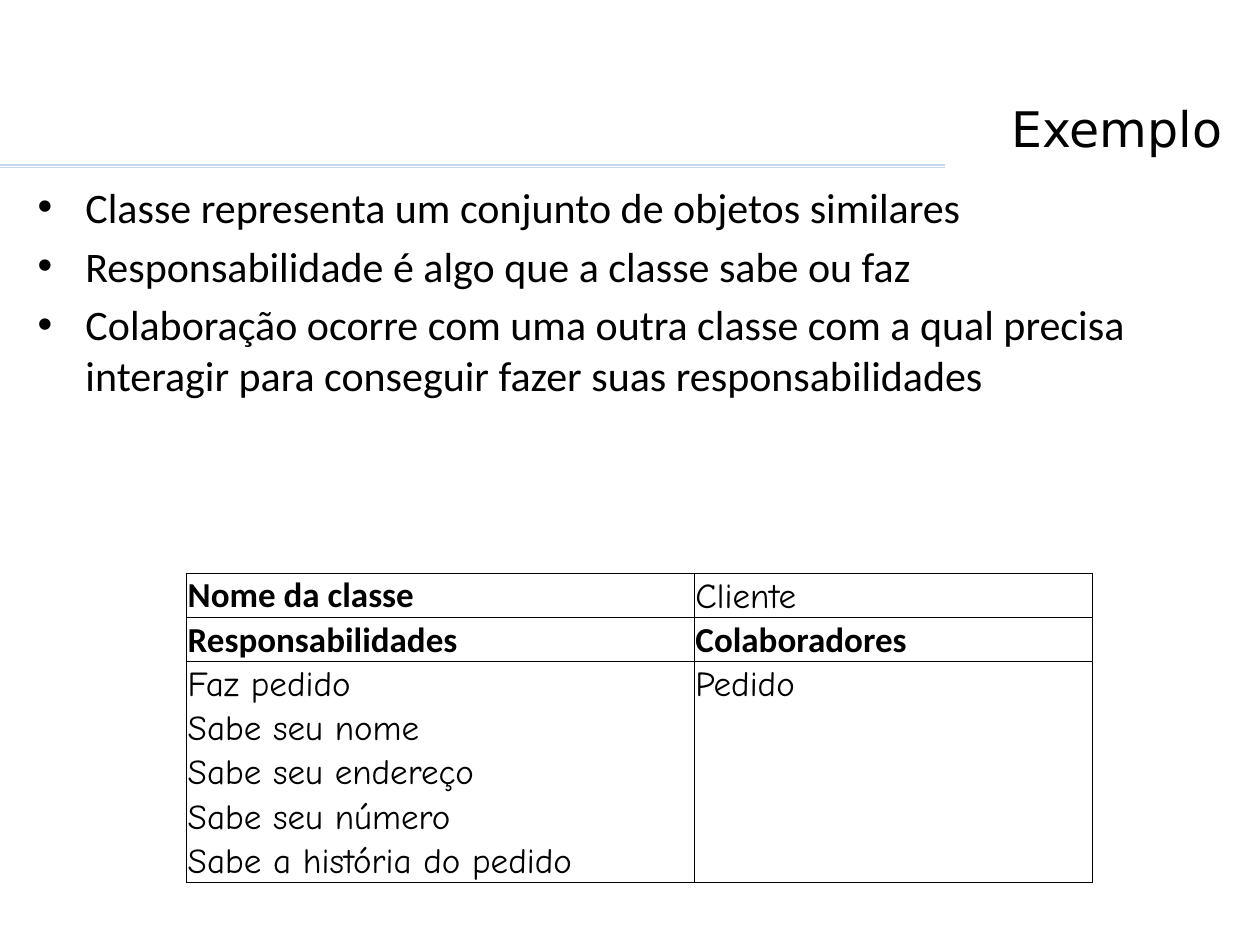
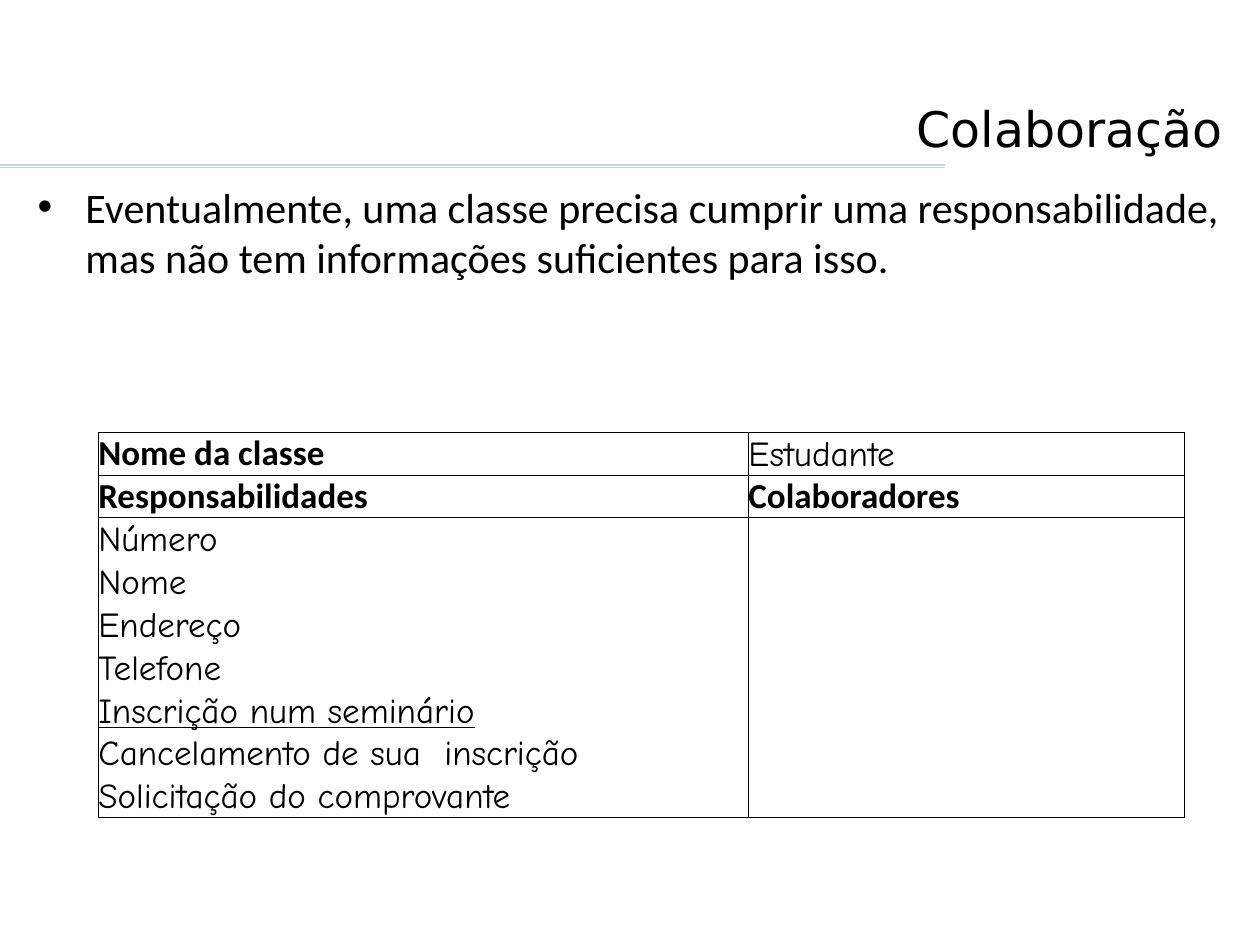
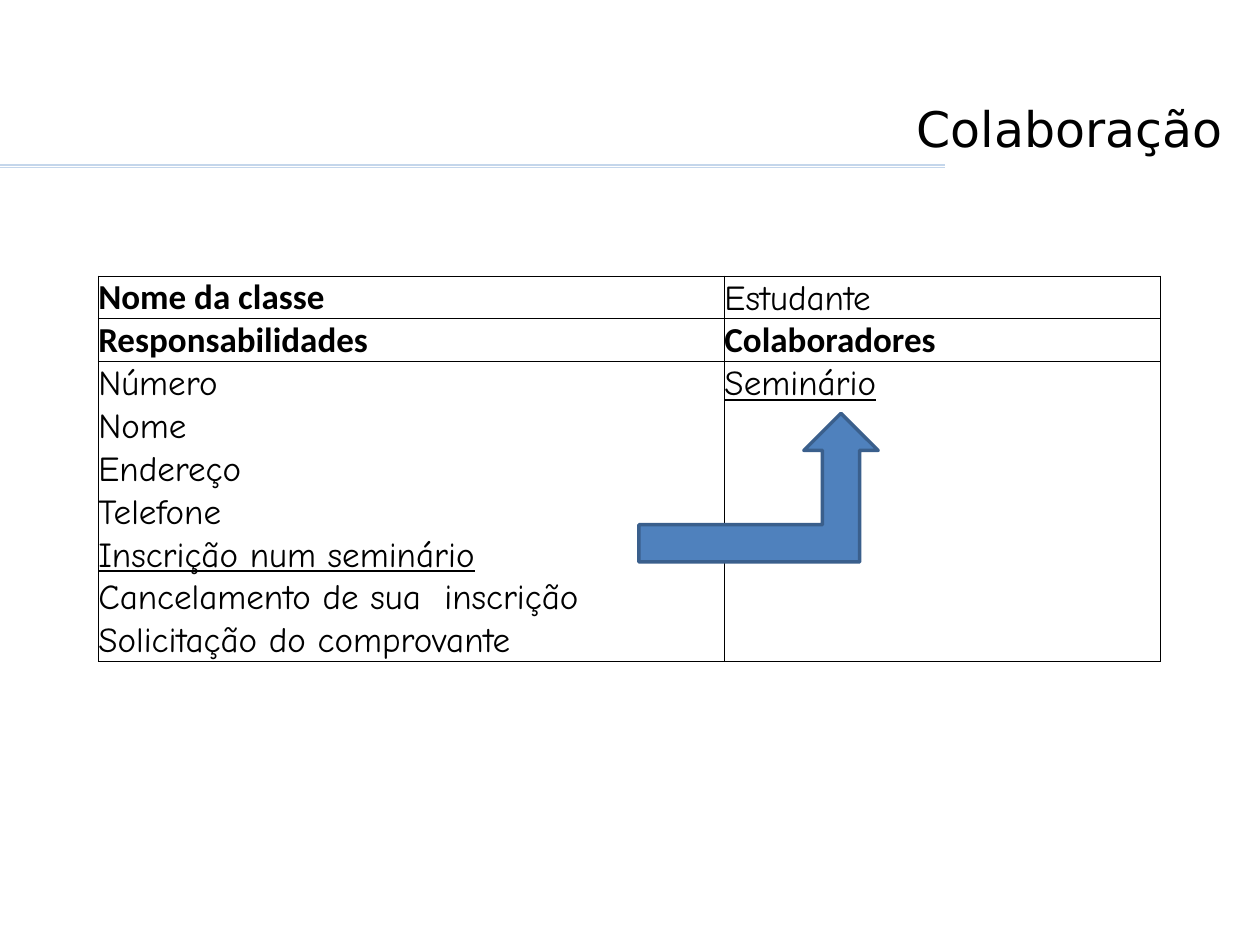
from dataclasses import dataclass

from lxml import etree
from pptx import Presentation
from pptx.dml.color import RGBColor
from pptx.enum.shapes import MSO_CONNECTOR, MSO_SHAPE
from pptx.enum.text import MSO_ANCHOR, MSO_AUTO_SIZE, PP_ALIGN
from pptx.oxml.ns import qn
from pptx.util import Inches, Pt

LINE = MSO_CONNECTOR.STRAIGHT
ARROW = MSO_SHAPE.BENT_UP_ARROW
BOTTOM = MSO_ANCHOR.BOTTOM
RIGHT = PP_ALIGN.RIGHT
FIXED = MSO_AUTO_SIZE.NONE
TITLE_ONLY = 5


@dataclass(frozen=True)
class Theme:
    ink: str = "000000"
    rule: str = "C4D6EB"
    fill: str = "4F81BD"
    edge: str = "3A5F8C"
    head: str = "DejaVu Sans"
    body: str = "Calibri"
    hand: str = "Comic Neue"
    head_size: float = 28
    body_size: float = 24
    cell_size: float = 20
    gap: float = 4.8
    border: float = 0.5


LABELS = {"Nome da classe", "Responsabilidades", "Colaboradores"}
LINKED = {"Inscrição num seminário", "Seminário"}
STUDENT = ["Número", "Nome", "Endereço", "Telefone", "Inscrição num seminário",
           "Cancelamento de sua  inscrição", "Solicitação do comprovante"]


class Deck:
    def __init__(self, theme):
        self.theme = theme
        self.prs = Presentation()
        self.prs.slide_width, self.prs.slide_height = Inches(10), Inches(7.5)
        self.slide = None

    def style(self, para, name, size, bold=False):
        font = para.font
        font.name, font.size, font.bold = name, Pt(size), bold
        font.color.rgb = RGBColor.from_string(self.theme.ink)

    def start(self, text):
        """Add a slide with its title and the double rule below it."""
        layout = self.prs.slide_layouts[TITLE_ONLY]
        self.slide = self.prs.slides.add_slide(layout)
        for y in (1.33, 1.31):
            self.rule(y)
        title = self.slide.shapes.title
        title.left, title.top = Inches(0.18), Inches(0.28)
        title.width, title.height = Inches(9.62), Inches(1.02)
        frame = title.text_frame
        frame.text = text
        frame.auto_size, frame.vertical_anchor = FIXED, BOTTOM
        para = frame.paragraphs[0]
        para.alignment = RIGHT
        self.style(para, self.theme.head, self.theme.head_size)

    def rule(self, y):
        line = self.slide.shapes.add_connector(
            LINE, Inches(0), Inches(y), Inches(7.5), Inches(y))
        line.line.color.rgb = RGBColor.from_string(self.theme.rule)
        line.line.width = Pt(0.75)
        props = line._element.spPr
        etree.SubElement(props, qn("a:effectLst"))

    def bullets(self, items):
        box = self.slide.shapes.add_textbox(
            Inches(0.2), Inches(1.39), Inches(9.61), Inches(5.9))
        frame = box.text_frame
        frame.word_wrap = True
        for i, item in enumerate(items):
            para = frame.add_paragraph() if i else frame.paragraphs[0]
            para.text = item
            props = para._p.get_or_add_pPr()
            props.set("marL", str(Inches(0.38)))
            props.set("indent", str(-Inches(0.38)))
            etree.SubElement(props, qn("a:buFont"), typeface="Arial")
            etree.SubElement(props, qn("a:buChar"), char="•")
            if i:
                para.space_before = Pt(self.theme.gap)
            self.style(para, self.theme.body, self.theme.body_size)

    def borders(self, cell, shown):
        """Draw the sides named in shown (of L, R, T, B) and clear the rest."""
        props = cell._tc.get_or_add_tcPr()
        for side in "LRTB":
            line = etree.SubElement(props, qn("a:ln" + side),
                                    w=str(Pt(self.theme.border)))
            if side in shown:
                fill = etree.SubElement(line, qn("a:solidFill"))
                etree.SubElement(fill, qn("a:srgbClr"), val=self.theme.ink)
            else:
                etree.SubElement(line, qn("a:noFill"))

    def cell(self, cell, text, shown, inset):
        cell.margin_left = cell.margin_right = cell.margin_top = Inches(inset)
        cell.margin_bottom = 0
        cell.vertical_anchor = BOTTOM
        self.borders(cell, shown)
        cell.fill.background()
        cell.text = text
        para = cell.text_frame.paragraphs[0]
        label = text in LABELS
        name = self.theme.body if label else self.theme.hand
        self.style(para, name, self.theme.cell_size, label)
        if text in LINKED:
            para.font.underline = True

    def card(self, at, widths, height, name, duties, helper="", inset=0):
        """Lay out a class card: name, duties and the class that helps."""
        rows = [("Nome da classe", name), ("Responsabilidades", "Colaboradores")]
        rows += [(duty, "" if i else helper) for i, duty in enumerate(duties)]
        count = len(rows)
        table = self.slide.shapes.add_table(
            count, 2, Inches(at[0]), Inches(at[1]),
            Inches(sum(widths)), Inches(height * count)).table
        table.first_row = table.horz_banding = False
        for col, width in zip(table.columns, widths):
            col.width = Inches(width)
        for i, texts in enumerate(rows):
            table.rows[i].height = Inches(height)
            shown = "LR" + "T" * (i < 3) + "B" * (i < 2 or i == count - 1)
            for j, text in enumerate(texts):
                self.cell(table.cell(i, j), text, shown, inset)

    def arrow(self, x, y, width, height):
        shape = self.slide.shapes.add_shape(
            ARROW, Inches(x), Inches(y), Inches(width), Inches(height))
        shape.shadow.inherit = False
        shape.fill.solid()
        shape.fill.fore_color.rgb = RGBColor.from_string(self.theme.fill)
        shape.line.color.rgb = RGBColor.from_string(self.theme.edge)
        shape.line.width = Pt(2)


def main():
    deck = Deck(Theme())

    deck.start("Exemplo")
    deck.bullets([
        "Classe representa um conjunto de objetos similares",
        "Responsabilidade é algo que a classe sabe ou faz",
        "Colaboração ocorre com uma outra classe com a qual precisa "
        "interagir para conseguir fazer suas responsabilidades"])
    deck.card((1.48, 4.55), (4.03, 3.16), 0.35, "Cliente",
              ["Faz pedido", "Sabe seu nome", "Sabe seu endereço",
               "Sabe seu número", "Sabe a história do pedido"],
              "Pedido", 0.01)

    deck.start("Colaboração")
    deck.bullets([
        "Eventualmente, uma classe precisa cumprir uma responsabilidade, "
        "mas não tem informações suficientes para isso."])
    deck.card((0.78, 3.43), (5.16, 3.46), 0.34, "Estudante", STUDENT)

    deck.start("Colaboração")
    deck.card((0.78, 2.19), (4.97, 3.46), 0.34, "Estudante", STUDENT,
              "Seminário")
    deck.arrow(5.07, 3.28, 1.9, 1.18)

    deck.prs.save("out.pptx")


if __name__ == "__main__":
    main()
